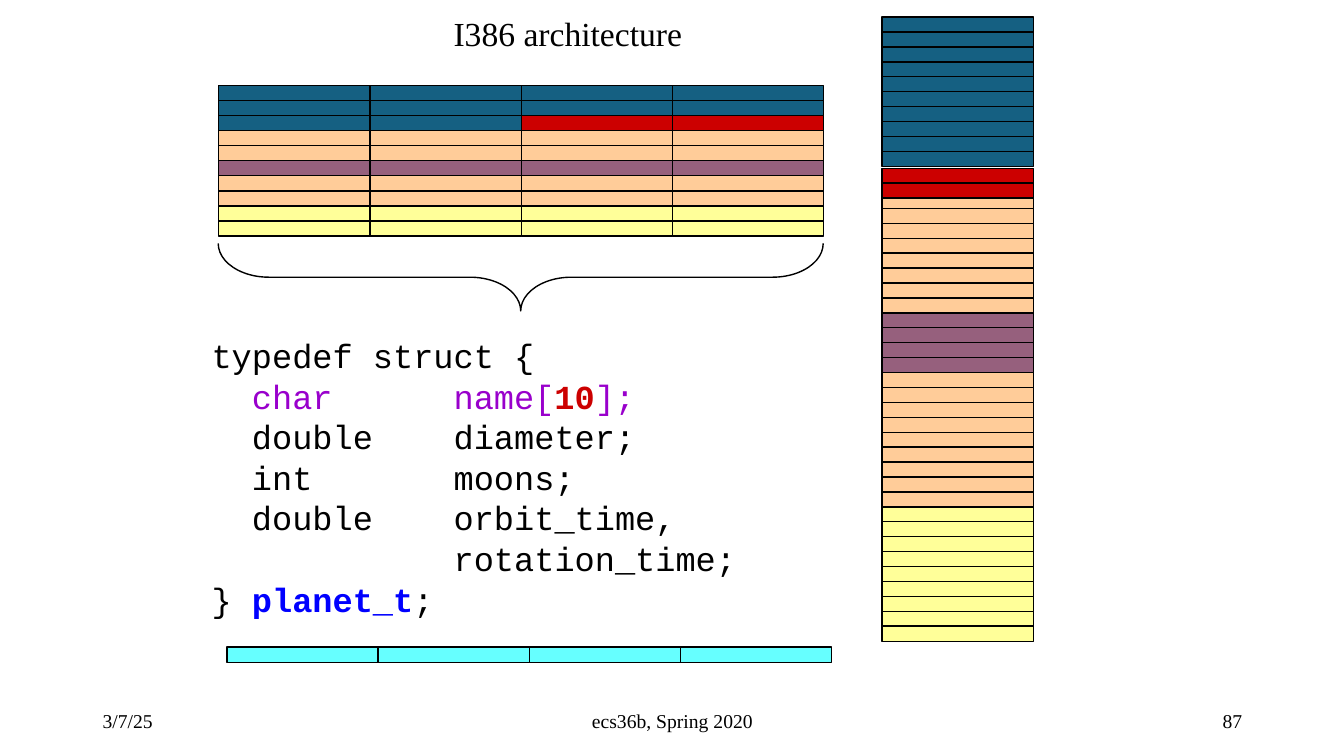
import pptx
import pptx.util
import pptx.dml.color
import pptx.enum.shapes
import pptx.enum.text

Inches, Pt = pptx.util.Inches, pptx.util.Pt
Align = pptx.enum.text.PP_ALIGN
Anchor = pptx.enum.text.MSO_ANCHOR
Shape = pptx.enum.shapes.MSO_SHAPE

HUES = {
    "black": "000000", "blue": "156082", "red": "CC0000",
    "peach": "FFCC99", "plum": "96607D", "lemon": "FFFF99",
    "cyan": "66FFFF", "violet": "9900CC", "link": "0000FF",
}
SERIF, MONO = "Times New Roman", "Courier New"
CELL_W, CELL_H = 1.5, 0.15


def hue(name):
    return pptx.dml.color.RGBColor.from_string(HUES[name])


def draw(shapes, kind, box, fill=None):
    shape = shapes.add_shape(kind, *map(Inches, box))
    shape.shadow.inherit = False
    if fill:
        shape.fill.solid()
        shape.fill.fore_color.rgb = hue(fill)
    else:
        shape.fill.background()
    shape.line.color.rgb = hue("black")
    shape.line.width = Pt(1)
    return shape


def stack(shapes, x, y, height, fills):
    """Bytes one above the other, at equal steps."""
    step = height / len(fills)
    for row, fill in enumerate(fills):
        draw(shapes, Shape.RECTANGLE, (x, y + row * step, CELL_W, CELL_H), fill)


def set_font(font, face, size):
    font.name, font.size = face, Pt(size)
    font.color.rgb = hue("black")


def label(slide, box, text, size, align=Align.LEFT, wrap=True, anchor=Anchor.TOP):
    frame = slide.shapes.add_textbox(*map(Inches, box)).text_frame
    frame.word_wrap = wrap
    frame.vertical_anchor = anchor
    par = frame.paragraphs[0]
    par.text, par.alignment = text, align
    set_font(par.font, SERIF, size)


def footer(slide, y):
    for x, width, text, align in (
        (0.92, 3, "3/7/25", Align.LEFT),
        (4.42, 4.5, "ecs36b, Spring 2020", Align.CENTER),
        (9.42, 3, "87", Align.RIGHT),
    ):
        label(slide, (x, y, width, 0.4), text, 14, align, anchor=Anchor.MIDDLE)


def code(slide, box):
    def field(kind, name):
        return f"  {kind:<10}{name}"

    # Each run: text, colour, bold
    lines = [
        [("typedef struct {", "black", False)],
        [(field("char", "name["), "violet", False), ("10", "red", True),
         ("];", "violet", False)],
        [(field("double", "diameter;"), "black", False)],
        [(field("int", "moons;"), "black", False)],
        [(field("double", "orbit_time,"), "black", False)],
        [(field("", "rotation_time;"), "black", False)],
        [("} ", "black", False), ("planet_t", "link", True), (";", "black", False)],
    ]
    frame = slide.shapes.add_textbox(*map(Inches, box)).text_frame
    frame.word_wrap = True
    for row, parts in enumerate(lines):
        par = frame.add_paragraph() if row else frame.paragraphs[0]
        par.line_spacing = Pt(29)
        set_font(par.font, MONO, 24)
        for text, tint, bold in parts:
            run = par.add_run()
            run.text = text
            run.font.color.rgb = hue(tint)
            run.font.bold = bold


def column(slide, x, y):
    """The struct byte by byte."""
    group = slide.shapes.add_group_shape().shapes
    stack(group, x, y, 1.48, ["blue"] * 10)
    rest = ["peach"] * 8 + ["plum"] * 4 + ["peach"] * 9 + ["lemon"] * 9
    stack(group, x, y + 1.75, 4.44, rest)
    stack(group, x, y + 1.5, 0.29, ["red"] * 2)


def grid(slide, x, y):
    """The struct as rows of four bytes."""
    group = slide.shapes.add_group_shape().shapes
    tail = ["peach"] * 2 + ["plum"] + ["peach"] * 2 + ["lemon"] * 2
    for col, third in enumerate(["blue", "blue", "red", "red"]):
        fills = ["blue", "blue", third] + tail
        stack(group, x + col * CELL_W, y, 1.49, fills)


def brace(slide, box):
    shape = draw(slide.shapes, Shape.LEFT_BRACE, box)
    shape.rotation = 270
    shape.adjustments[0] = 0.75
    shape.adjustments[1] = 0.5


def word(slide, x, y):
    for col in range(4):
        stack(slide.shapes, x + col * CELL_W, y, CELL_H, ["cyan"])


def main():
    deck = pptx.Presentation()
    deck.slide_width, deck.slide_height = Inches(13.33), Inches(7.5)
    slide = deck.slides.add_slide(deck.slide_layouts[6])
    footer(slide, 6.95)
    code(slide, (2, 3.27, 6.02, 2.93))
    column(slide, 8.75, 0.17)
    brace(slide, (4.83, -0.25, 0.67, 6))
    label(slide, (4.4, 0.08, 2.52, 0.5), "I386 architecture", 24, wrap=False)
    word(slide, 2.25, 6.42)
    grid(slide, 2.17, 0.85)
    deck.save("out.pptx")


if __name__ == "__main__":
    main()
